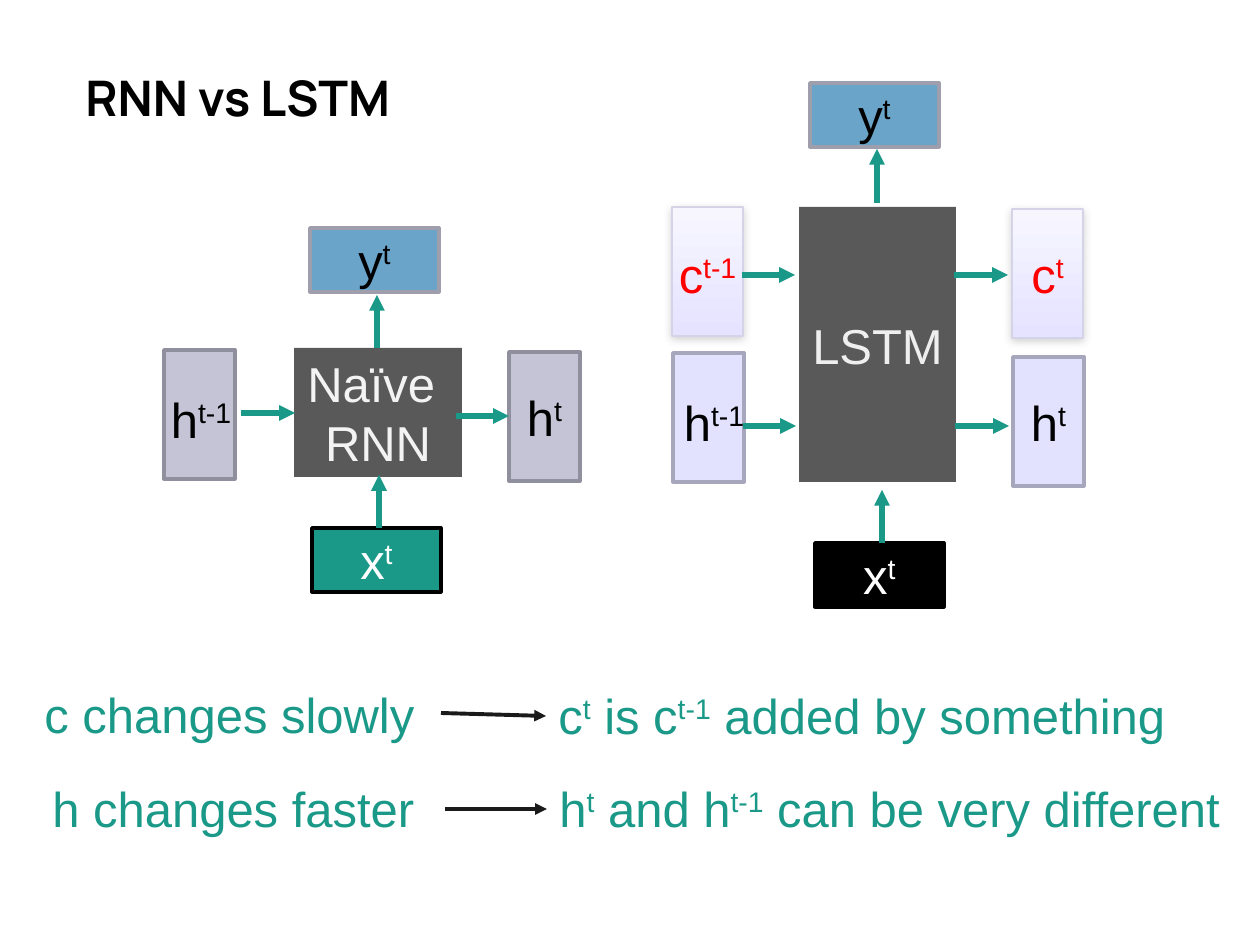
"""Build a slide that compares the states of a plain RNN with those of an LSTM."""
from lxml.etree import SubElement
from pptx import Presentation
from pptx.dml.color import RGBColor
from pptx.enum.shapes import MSO_CONNECTOR, MSO_SHAPE
from pptx.enum.text import MSO_ANCHOR as ANCHOR, PP_ALIGN as ALIGN
from pptx.oxml.ns import qn
from pptx.util import Pt

PX = 914400 / 126
TEAL, BLACK, WHITE, RED = "1A9988", "000000", "FFFFFF", "FF0000"
SLATE, BLUE, BLUE_EDGE = "595959", "6AA4C8", "9F9EAD"
GREY, GREY_EDGE, LILAC, LILAC_EDGE = "C4C4D6", "8F8F9D", "E2E2FF", "A6A6BC"
hue = RGBColor.from_string


def px(*lengths):
    return [round(length * PX) for length in lengths]


def write(holder, text, color, align=ALIGN.CENTER, anchor=ANCHOR.MIDDLE, font="Arial", bold=False):
    """Write text in which ^ switches superscript on and off."""
    frame = holder.text_frame
    frame.word_wrap = True
    frame.vertical_anchor = anchor
    for row, line in enumerate(text.split("\n")):
        paragraph = frame.add_paragraph() if row else frame.paragraphs[0]
        paragraph.alignment = align
        for index, piece in enumerate(line.split("^")):
            if piece:
                run = paragraph.add_run()
                run.text = piece
                run.font.name, run.font.size, run.font.bold = font, Pt(28), bold
                run.font.color.rgb = hue(color)
                if index % 2:
                    run.font._element.set("baseline", "30000")


prs = Presentation()
prs.slide_width, prs.slide_height = px(1260, 945)
shapes = prs.slides.add_slide(prs.slide_layouts[6]).shapes

title = shapes.add_textbox(*px(73, 5, 659, 183))
write(title, "RNN vs LSTM", BLACK, ALIGN.LEFT, font="Manrope", bold=True)

for left, top, width, caption in [
    (32, 678, 410, "c changes slowly"),
    (40, 772, 403, "h changes faster"),
    (546, 679, 658, "c^t^ is c^t-1^ added by something"),
    (547, 772, 721, "h^t^ and h^t-1^ can be very different"),
]:
    write(shapes.add_textbox(*px(left, top, width, 72)), caption, TEAL, ALIGN.LEFT, ANCHOR.TOP)

STATE, PORT = (71, 129), (129, 64)
for left, top, (width, height), fill, edge, text, color in [
    (164, 350, STATE, GREY, GREY_EDGE, "", BLACK),
    (294, 348, (168, 129), SLATE, None, "Naïve \nRNN", "F3F3F3"),
    (509, 352, STATE, GREY, GREY_EDGE, "h^t", BLACK),
    (310, 228, PORT, BLUE, BLUE_EDGE, "y^t", BLACK),
    (312, 528, PORT, TEAL, BLACK, "x^t", WHITE),
    (799, 207, (157, 275), SLATE, None, "LSTM", "EFEFEF"),
    (810, 83, PORT, BLUE, BLUE_EDGE, "y^t", BLACK),
    (815, 543, PORT, BLACK, BLACK, "x^t", WHITE),
    (673, 353, STATE, LILAC, LILAC_EDGE, "", BLACK),
    (1013, 357, STATE, LILAC, LILAC_EDGE, "h^t", BLACK),
]:
    box = shapes.add_shape(MSO_SHAPE.RECTANGLE, *px(left, top, width, height))
    box.shadow.inherit = False
    box.fill.solid()
    box.fill.fore_color.rgb = hue(fill)
    if edge:
        box.line.color.rgb = hue(edge)
        box.line.width = Pt(2)
    else:
        box.line.fill.background()
    write(box, text, color)

for left, top, text in [(672, 207, ""), (1012, 209, "c^t")]:
    cell = shapes.add_shape(MSO_SHAPE.RECTANGLE, *px(left, top, *STATE))
    cell.fill.gradient()
    cell.fill.gradient_angle = 270
    for stop, shade in zip(cell.fill.gradient_stops, ("F7F6FF", "E5E3FF")):
        stop.color.rgb = hue(shade)
    cell.line.color.rgb = hue("D4D3E7")
    cell.line.width = Pt(0.75)
    cell.shadow.inherit = False
    effects = cell._element.spPr.find(qn("a:effectLst"))
    shadow = SubElement(effects, qn("a:outerShdw"), blurRad="63500", dist="20000", dir="5400000", rotWithShape="0")
    shadow_color = SubElement(shadow, qn("a:srgbClr"), val="808080")
    SubElement(shadow_color, qn("a:alpha"), val="37000")
    write(cell, text, RED)

for start_x, start_y, end_x, end_y, color, weight in [
    (241, 413, 295, 413, TEAL, 3),
    (456, 416, 509, 416, TEAL, 3),
    (377, 348, 377, 295, TEAL, 3),
    (379, 528, 379, 475, TEAL, 3),
    (742, 275, 795, 275, TEAL, 3),
    (954, 275, 1008, 275, TEAL, 3),
    (743, 426, 796, 426, TEAL, 3),
    (955, 426, 1009, 426, TEAL, 3),
    (877, 203, 877, 149, TEAL, 3),
    (882, 543, 882, 490, TEAL, 3),
    (441, 713, 546, 716, "1A1A1A", 2.25),
    (445, 809, 547, 809, "1A1A1A", 2.25),
]:
    arrow = shapes.add_connector(MSO_CONNECTOR.STRAIGHT, *px(start_x, start_y, end_x, end_y))
    arrow.line.color.rgb = hue(color)
    arrow.line.width = Pt(weight)
    SubElement(arrow.line._get_or_add_ln(), qn("a:tailEnd"), type="triangle")
    SubElement(arrow._element.spPr, qn("a:effectLst"))

for left, top, width, label, color in [
    (155, 383, 92, "h^t-1", BLACK),
    (668, 386, 92, "h^t-1", BLACK),
    (665, 238, 85, "c^t-1", RED),
]:
    write(shapes.add_textbox(*px(left, top, width, 72)), label, color, anchor=ANCHOR.TOP)

prs.save("out.pptx")
